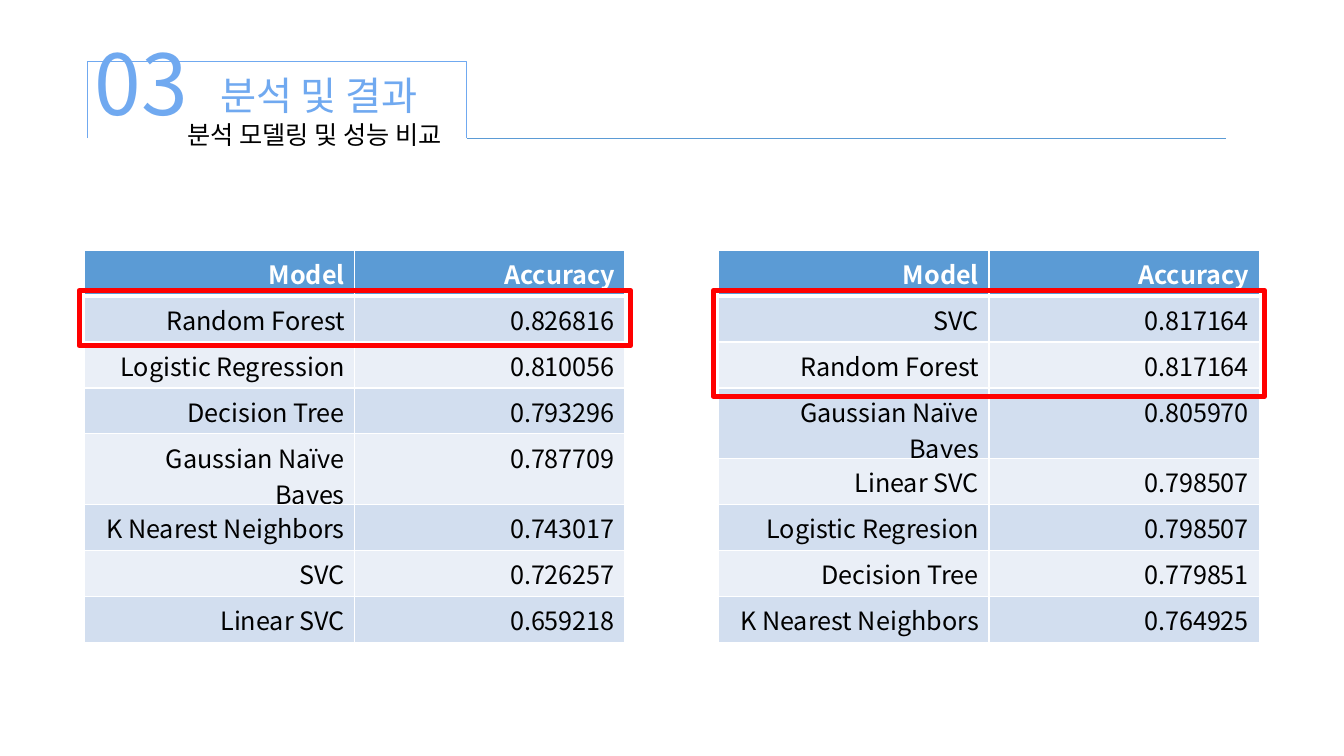
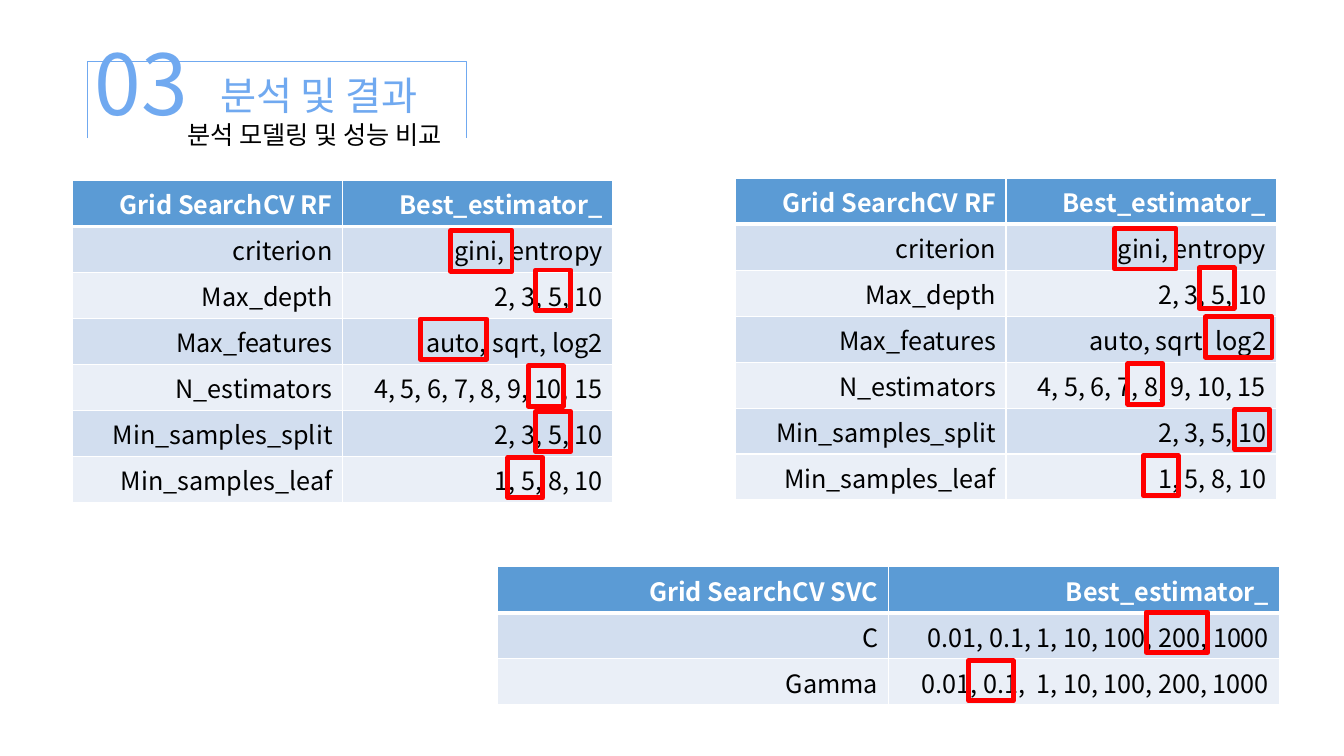
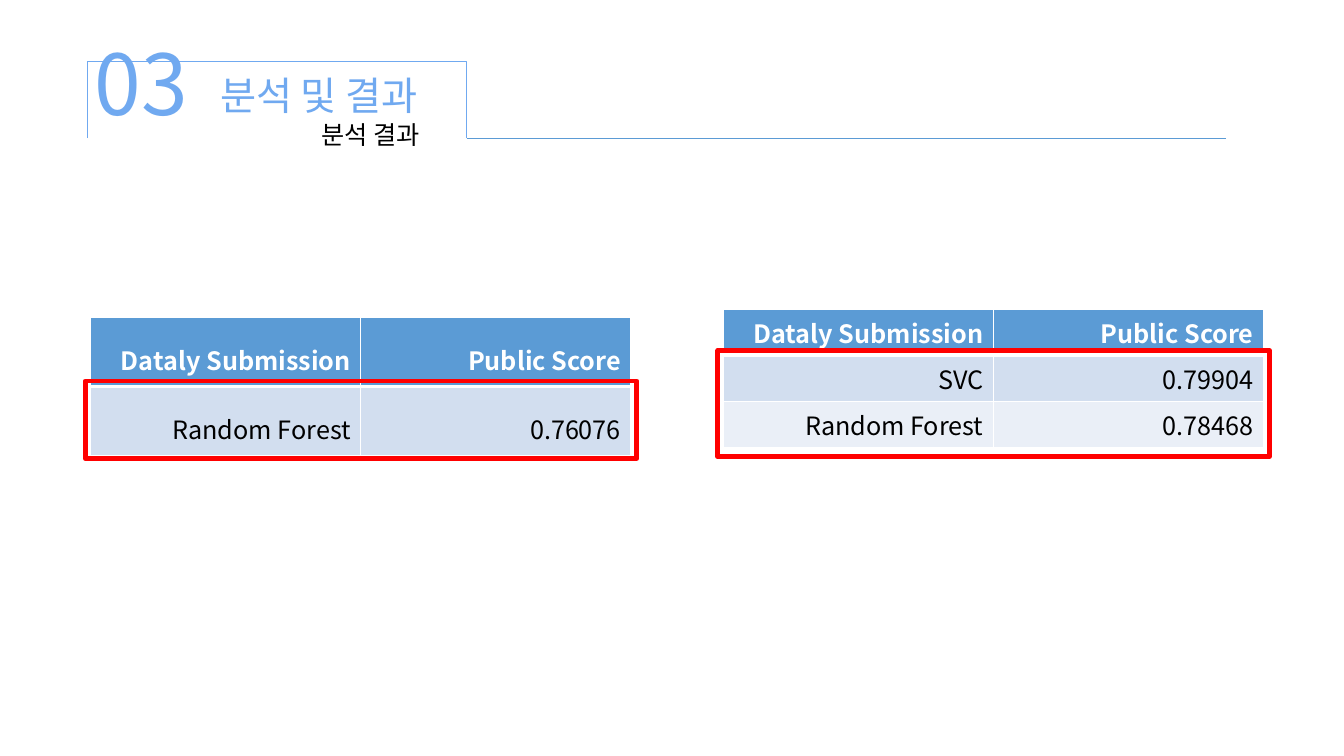
from lxml import etree
from pptx import Presentation
from pptx.dml.color import RGBColor
from pptx.enum.shapes import MSO_CONNECTOR, MSO_SHAPE
from pptx.enum.text import MSO_ANCHOR, MSO_AUTO_SIZE, PP_ALIGN
from pptx.oxml.ns import qn
from pptx.util import Pt

LEFT, CENTER, RIGHT = PP_ALIGN.LEFT, PP_ALIGN.CENTER, PP_ALIGN.RIGHT
TOP, NO_AUTOFIT = MSO_ANCHOR.TOP, MSO_AUTO_SIZE.NONE
STRAIGHT = MSO_CONNECTOR.STRAIGHT
RECTANGLE, BRACKET = MSO_SHAPE.RECTANGLE, MSO_SHAPE.RIGHT_BRACKET

WHITE = RGBColor(0xFF, 0xFF, 0xFF)
BLACK = RGBColor(0, 0, 0)
SKY = RGBColor(0x70, 0xA9, 0xF0)
BLUE = RGBColor(0x5B, 0x9B, 0xD5)
BANDS = RGBColor(0xD2, 0xDE, 0xEF), RGBColor(0xEA, 0xEF, 0xF7)
RED = RGBColor(0xFF, 0, 0)

FONT = "Noto Sans CJK KR"
TITLE_ONLY = 5
COLUMN = 193
ROW = 32.85
TABLE_WIDTH = 2 * COLUMN
MODELING = "분석 모델링 및 성능 비교"

# Model accuracy, first and second round
FIRST_ACCURACY = [
    ("Model", "Accuracy"),
    ("Random Forest", "0.826816"),
    ("Logistic Regression", "0.810056"),
    ("Decision Tree", "0.793296"),
    ("Gaussian Naïve Bayes", "0.787709"),
    ("K Nearest Neighbors", "0.743017"),
    ("SVC", "0.726257"),
    ("Linear SVC", "0.659218"),
]
SECOND_ACCURACY = [
    ("Model", "Accuracy"),
    ("SVC", "0.817164"),
    ("Random Forest", "0.817164"),
    ("Gaussian Naïve Bayes", "0.805970"),
    ("Linear SVC", "0.798507"),
    ("Logistic Regresion", "0.798507"),
    ("Decision Tree", "0.779851"),
    ("K Nearest Neighbors", "0.764925"),
]

# Searched parameters
FOREST_GRID = [
    ("Grid SearchCV RF", "Best_estimator_"),
    ("criterion", "gini, entropy"),
    ("Max_depth", "2, 3, 5, 10"),
    ("Max_features", "auto, sqrt, log2"),
    ("N_estimators", "4, 5, 6, 7, 8, 9, 10, 15"),
    ("Min_samples_split", "2, 3, 5, 10"),
    ("Min_samples_leaf", "1, 5, 8, 10"),
]
SVC_GRID = [
    ("Grid SearchCV SVC", "Best_estimator_"),
    ("C", "0.01, 0.1, 1, 10, 100, 200, 1000"),
    ("Gamma", "0.01, 0.1,  1, 10, 100, 200, 1000"),
]

# Chosen values: offsets from the table's corner, and widths
FOREST_TOPS = (36, 64, 99, 132.5, 165, 198)
FOREST_WIDTHS = (44, 25, 47.5, 25, 25, 25)
FIRST_CHOICES = (270, 331, 248.5, 325.5, 331, 311)
SECOND_CHOICES = (270.5, 331, 335.5, 280, 356.5, 291)
CHOICE_HEIGHT = 28.8

# Submission scores
SCORE_HEADER = ("Dataly Submission", "Public Score")
FIRST_SCORES = [SCORE_HEADER, ("Random Forest", "0.76076")]
SECOND_SCORES = [SCORE_HEADER, ("SVC", "0.79904"), ("Random Forest", "0.78468")]


def write(frame, text, size, color, align, bold=False):
    frame.text = text
    paragraph = frame.paragraphs[0]
    paragraph.alignment = align
    run = paragraph.runs[0]
    font = run.font
    font.name, font.size, font.bold = FONT, Pt(size), bold
    font.color.rgb = color
    east_asian = etree.SubElement(font._element, qn("a:ea"))
    east_asian.set("typeface", FONT)
    return paragraph


def add_label(slide, box, text, size, color, align):
    frame = slide.shapes.add_textbox(*map(Pt, box)).text_frame
    frame.word_wrap = True
    write(frame, text, size, color, align)
    return frame


def add_outline(slide, kind, box, color, weight):
    outline = slide.shapes.add_shape(kind, *map(Pt, box))
    outline.shadow.inherit = False
    outline.fill.background()
    outline.line.color.rgb = color
    outline.line.width = Pt(weight)
    return outline


def add_mark(slide, left, top, width, height):
    add_outline(slide, RECTANGLE, (left, top, width, height), RED, 3.5)


def add_heading(slide, subtitle, subtitle_left, ruled=True):
    left, top, width, height = 62.64, 43.92, 270.72, 54.72
    # Bracket, turned so that it opens downwards
    turned = (left + (width - height) / 2, top + (height - width) / 2, height, width)
    bracket = add_outline(slide, BRACKET, turned, SKY, 0.5)
    bracket.adjustments[0] = 0
    bracket.rotation = 270
    # Rule to the right of the bracket
    if ruled:
        base = top + height
        rule = slide.shapes.add_connector(
            STRAIGHT, Pt(left + width), Pt(base), Pt(875.5), Pt(base))
        rule.line.color.rgb = BLUE
        rule.line.width = Pt(0.5)
        etree.SubElement(rule._element.spPr, qn("a:effectLst"))
    # Subtitle, title and section number
    add_label(slide, (subtitle_left, top + 37.4, 217, 29), subtitle, 18, BLACK, CENTER)
    title = slide.shapes.title
    title.left, title.top, title.width, title.height = map(
        Pt, (left + 83.5, top + 3.6, 163.4, 41))
    title.text_frame.word_wrap = False
    title.text_frame.auto_size = NO_AUTOFIT
    title.text_frame.vertical_anchor = TOP
    write(title.text_frame, "분석 및 결과", 28, SKY, CENTER)
    number = add_label(slide, (left - 2.1, top - 28, 144, 94.3), "03", 60, SKY, LEFT)
    number.margin_top = Pt(6.8)


def add_border(cell, side, weight):
    line = etree.SubElement(cell._tc.get_or_add_tcPr(), qn(f"a:{side}"))
    line.set("w", str(Pt(weight)))
    fill = etree.SubElement(line, qn("a:solidFill"))
    etree.SubElement(fill, qn("a:srgbClr")).set("val", str(WHITE))


def add_grid(slide, left, top, rows, column=COLUMN, row_height=ROW, spacing=None):
    grid = slide.shapes.add_table(
        len(rows), 2, Pt(left), Pt(top), Pt(2 * column), Pt(row_height * len(rows))).table
    for grid_column in grid.columns:
        grid_column.width = Pt(column)
    for r, texts in enumerate(rows):
        grid.rows[r].height = Pt(row_height)
        header = r == 0
        for c, text in enumerate(texts):
            cell = grid.cell(r, c)
            # Borders come before the fill; a thick one lies under the header
            add_border(cell, "lnL", 1)
            add_border(cell, "lnR", 1)
            add_border(cell, "lnT", 3 if r == 1 else 1)
            add_border(cell, "lnB", 3 if header else 1)
            cell.fill.solid()
            cell.fill.fore_color.rgb = BLUE if header else BANDS[(r - 1) % 2]
            paragraph = write(cell.text_frame, text, 18,
                              WHITE if header else BLACK, RIGHT, header)
            if spacing:
                paragraph.line_spacing = spacing


def add_best_rows(slide, left, top, offset, height):
    add_mark(slide, left - 4, top + offset, TABLE_WIDTH + 8, height)


def add_choices(slide, left, top, lefts, tops, widths):
    for dx, dy, width in zip(lefts, tops, widths):
        add_mark(slide, left + dx, top + dy, width, CHOICE_HEIGHT)


def build_accuracy(slide):
    add_heading(slide, MODELING, 116)
    for left, rows, height in ((513.4, SECOND_ACCURACY, 75.6),
                               (60.5, FIRST_ACCURACY, 39.6)):
        add_grid(slide, left, 178.6, rows)
        add_best_rows(slide, left, 178.6, 28.8, height)


def build_grid_search(slide):
    add_heading(slide, MODELING, 116, ruled=False)
    for left, top, lefts in ((51.8, 128.9, FIRST_CHOICES),
                             (525.6, 127.4, SECOND_CHOICES)):
        add_grid(slide, left, top, FOREST_GRID)
        add_choices(slide, left, top, lefts, FOREST_TOPS, FOREST_WIDTHS)
    left, top = 355, 404.9
    add_grid(slide, left, top, SVC_GRID, column=279.4)
    add_choices(slide, left, top, (463.7, 337), (32.4, 67), (44, 31.7))


def build_scores(slide):
    add_heading(slide, "분석 결과", 156.2)
    left, top = 516.7, 221
    add_grid(slide, left, top, SECOND_SCORES)
    add_best_rows(slide, left, top, 29.5, 75.6)
    left, top = 64.8, 226.8
    add_grid(slide, left, top, FIRST_SCORES, row_height=49.3, spacing=1.5)
    add_best_rows(slide, left, top, 45.4, 55.4)


def main():
    deck = Presentation()
    deck.slide_width, deck.slide_height = Pt(960), Pt(540)
    for build in (build_accuracy, build_grid_search, build_scores):
        build(deck.slides.add_slide(deck.slide_layouts[TITLE_ONLY]))
    deck.save("out.pptx")


if __name__ == "__main__":
    main()
